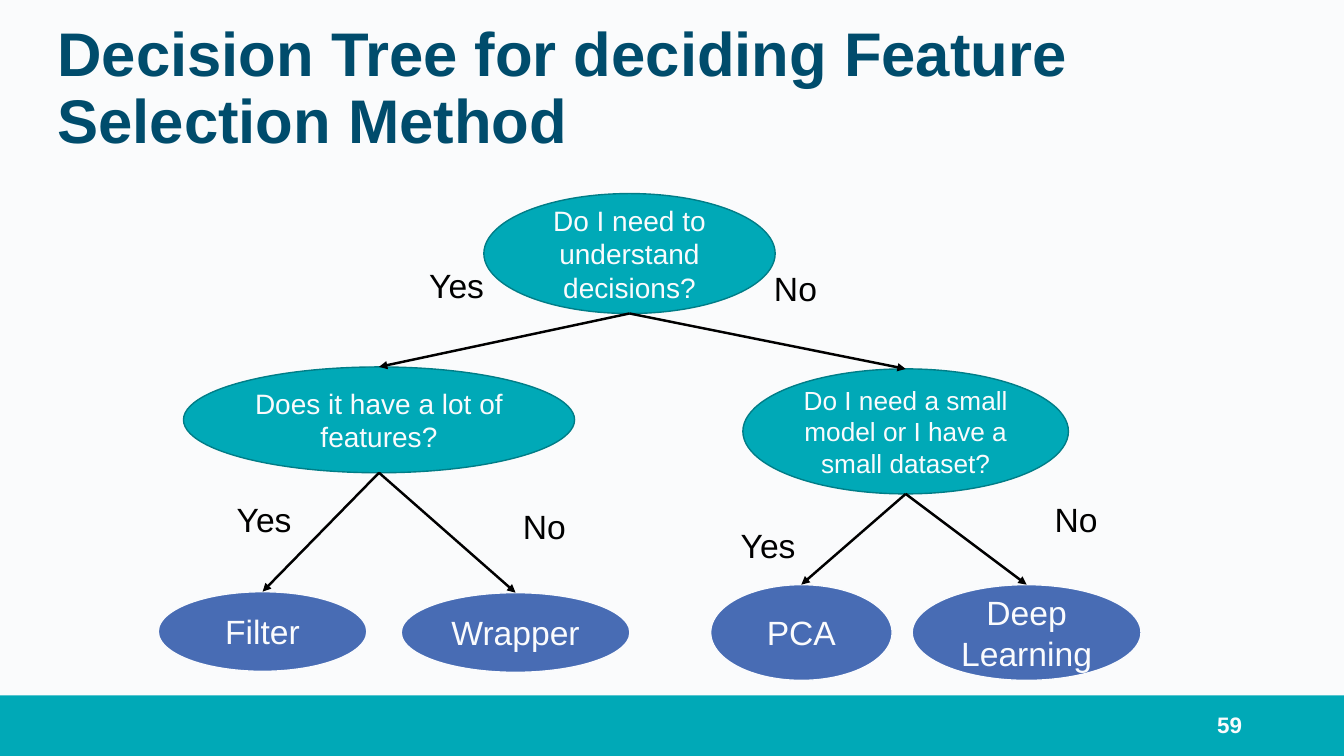
import dataclasses

import lxml.etree
import pptx
import pptx.dml.color
import pptx.enum.shapes
import pptx.enum.text
import pptx.oxml.ns
import pptx.util

COLUMNS, ROWS = 40, 30
SLIDE_WIDTH = pptx.util.Inches(13.33)
SLIDE_HEIGHT = pptx.util.Inches(7.5)
ALIGN = pptx.enum.text.PP_ALIGN
ANCHOR = pptx.enum.text.MSO_ANCHOR
FIT = pptx.enum.text.MSO_AUTO_SIZE


@dataclasses.dataclass(frozen=True)
class Theme:
    font: str = "Arial"
    background: str = "FAFBFC"
    heading: str = "004C6C"
    question: str = "00A9B7"
    question_edge: str = "007D87"
    method: str = "486CB4"
    light: str = "FAFBFD"
    ink: str = "000000"
    title_size: float = 44
    method_size: float = 24
    question_size: float = 20
    long_question_size: float = 18.7
    page_size: float = 16
    edge_width: float = 1
    branch_width: float = 1.75


THEME = Theme()

QUESTIONS = {
    "Do I need to understand decisions?": (14.4, 7.68, 8.67, 4.76, THEME.question_size),
    "Does it have a lot of features?": (5.46, 14.56, 11.64, 4.2, THEME.question_size),
    "Do I need a small model or I have a small dataset?":
        (22.11, 14.64, 9.69, 4.96, THEME.long_question_size),
}
METHODS = {
    "Filter": (4.71, 23.48, 6.21, 3.16),
    "Wrapper": (11.94, 23.52, 6.81, 3.16),
    "PCA": (21.15, 23.2, 5.4, 3.8),
    "Deep Learning": (27.15, 23.2, 6.81, 3.8),
}
ANSWERS = [
    ("Yes", 12.48, 10.32, 2.76, ALIGN.LEFT),
    ("No", 22.74, 10.44, 3.24, ALIGN.LEFT),
    ("Yes", 6.75, 19.6, 3.54, ALIGN.LEFT),
    ("No", 15.27, 19.88, 3.48, ALIGN.LEFT),
    ("Yes", 21.75, 20.64, 2.61, ALIGN.LEFT),
    ("No", 30.54, 19.6, 2.97, ALIGN.CENTER),
]


def rgb(value):
    return pptx.dml.color.RGBColor.from_string(value)


def grid(left, top, width, height):
    column, row = SLIDE_WIDTH / COLUMNS, SLIDE_HEIGHT / ROWS
    return [round(n) for n in (left * column, top * row, width * column, height * row)]


def write(shape, text, size, color=THEME.light, bold=False, align=ALIGN.CENTER,
          anchor=ANCHOR.MIDDLE, fit=FIT.NONE, spacing=None):
    frame = shape.text_frame
    frame.text = text
    frame.word_wrap = True
    frame.auto_size = fit
    frame.vertical_anchor = anchor
    paragraph = frame.paragraphs[0]
    paragraph.alignment = align
    paragraph.line_spacing = spacing
    font = paragraph.runs[0].font
    font.name = THEME.font
    font.size = pptx.util.Pt(size)
    font.bold = bold
    font.color.rgb = rgb(color)


def add_filled(slide, preset, cells, fill, edge=None):
    shape = slide.shapes.add_shape(preset, *grid(*cells))
    shape.shadow.inherit = False
    shape.fill.solid()
    shape.fill.fore_color.rgb = rgb(fill)
    if edge:
        shape.line.color.rgb = rgb(edge)
        shape.line.width = pptx.util.Pt(THEME.edge_width)
    else:
        shape.line.fill.background()
    return shape


def add_node(slide, text, cells, fill, edge, size):
    node = add_filled(slide, pptx.enum.shapes.MSO_SHAPE.OVAL, cells, fill, edge)
    write(node, text, size)
    return node


def add_label(slide, text, cells, **text_format):
    label = slide.shapes.add_textbox(*grid(*cells))
    write(label, text, **text_format)


def add_branch(slide, parent, child):
    branch = slide.shapes.add_connector(
        pptx.enum.shapes.MSO_CONNECTOR.STRAIGHT,
        parent.left + parent.width // 2, parent.top + parent.height,
        child.left + child.width // 2, child.top)
    branch.line.color.rgb = rgb(THEME.ink)
    branch.line.width = pptx.util.Pt(THEME.branch_width)
    qn = pptx.oxml.ns.qn
    properties = branch.line._get_or_add_ln()
    lxml.etree.SubElement(properties, qn("a:tailEnd"), type="triangle")
    lxml.etree.SubElement(branch._element.spPr, qn("a:effectLst"))


def add_title(slide, text, cells):
    title = slide.shapes.title
    title.left, title.top, title.width, title.height = grid(*cells)
    write(title, text, THEME.title_size, color=THEME.heading, bold=True,
          align=ALIGN.LEFT, spacing=0.9)


def add_tree(slide):
    questions = [add_node(slide, text, cells, THEME.question, THEME.question_edge, size)
                 for text, (*cells, size) in QUESTIONS.items()]
    methods = [add_node(slide, text, cells, THEME.method, THEME.light, THEME.method_size)
               for text, cells in METHODS.items()]
    nodes = questions + methods
    for index, child in enumerate(nodes[1:]):
        add_branch(slide, nodes[index // 2], child)
    for text, left, top, width, align in ANSWERS:
        add_label(slide, text, (left, top, width, 2), size=THEME.method_size,
                  color=THEME.ink, align=align, anchor=ANCHOR.TOP,
                  fit=FIT.SHAPE_TO_FIT_TEXT)


def main():
    deck = pptx.Presentation()
    deck.slide_width, deck.slide_height = SLIDE_WIDTH, SLIDE_HEIGHT
    slide = deck.slides.add_slide(deck.slide_layouts.get_by_name("Title Only"))
    slide.background.fill.solid()
    slide.background.fill.fore_color.rgb = rgb(THEME.background)
    add_filled(slide, pptx.enum.shapes.MSO_SHAPE.RECTANGLE,
               (0, 27.6, COLUMNS, 2.4), THEME.question)
    add_title(slide, "Decision Tree for deciding Feature Selection Method",
              (1.41, 0.68, 37.62, 5.8))
    add_label(slide, "59", (28.26, 27.96, 9, 1.6), size=THEME.page_size,
              bold=True, align=ALIGN.RIGHT)
    add_tree(slide)
    deck.save("out.pptx")


if __name__ == "__main__":
    main()
